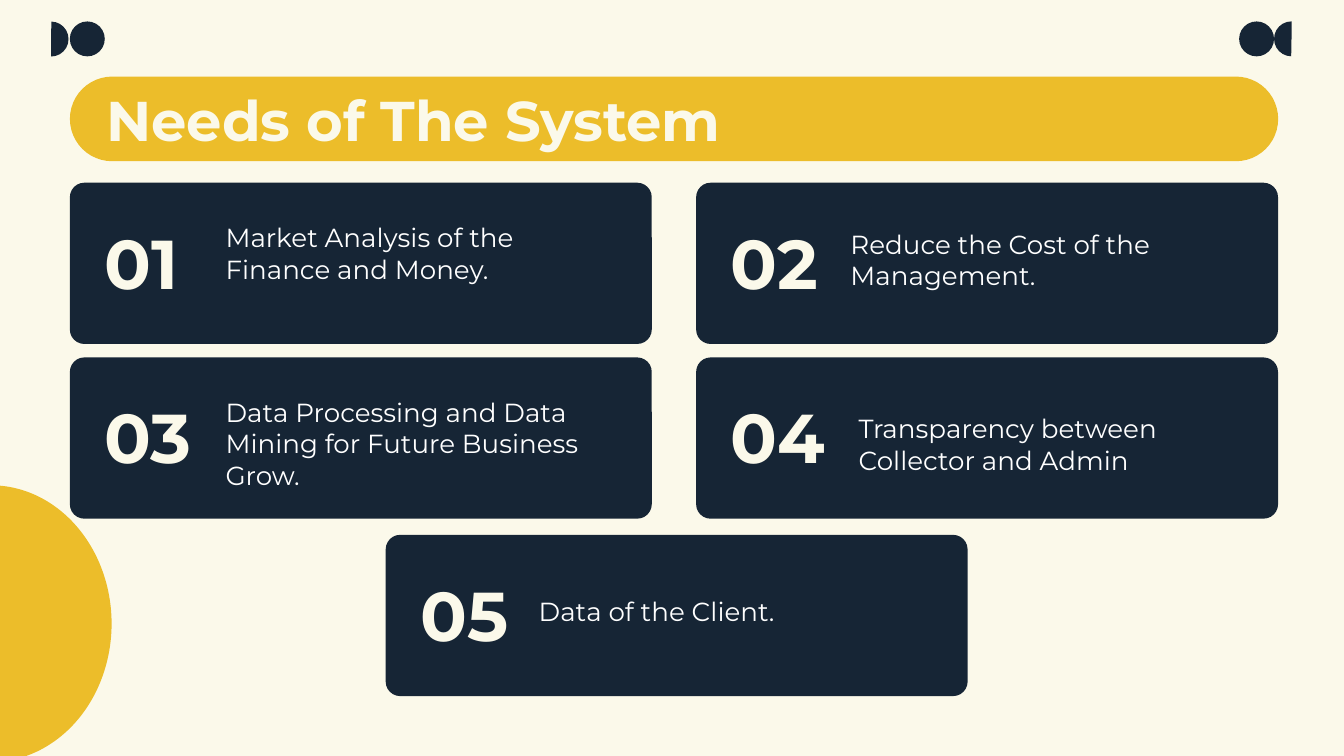
from dataclasses import dataclass

from pptx import Presentation
from pptx.dml.color import RGBColor
from pptx.enum.shapes import MSO_SHAPE
from pptx.enum.text import MSO_ANCHOR, MSO_AUTO_SIZE, PP_ALIGN
from pptx.util import Inches, Pt

PIE, OVAL, ROUNDED = MSO_SHAPE.PIE, MSO_SHAPE.OVAL, MSO_SHAPE.ROUNDED_RECTANGLE
TOP, MIDDLE = MSO_ANCHOR.TOP, MSO_ANCHOR.MIDDLE
LEFT = PP_ALIGN.LEFT
FIXED = MSO_AUTO_SIZE.NONE

FONT = "Montserrat"
CREAM, NAVY, GOLD, WHITE = "FBF9EA", "162535", "ECBD2A", "FFFFFF"

PAGE_WIDTH = 10
PAGE_HEIGHT = PAGE_WIDTH * 9 / 16
COLUMN_LEFTS = {"left": 0.52, "middle": 2.87, "right": 5.18}
ROW_TOPS = (1.36, 2.66, 3.98)
CARD_WIDTH, CARD_HEIGHT = 4.33, 1.2
BAR_TOP, BAR_WIDTH, BAR_HEIGHT = 0.57, 8.99, 0.63
DOT_SIZE, DOT_TOP = 0.26, 0.16
HALF_TURN = 180


@dataclass(frozen=True)
class Box:
    left: float
    top: float
    width: float
    height: float

    def lengths(self):
        return tuple(Inches(v) for v in (self.left, self.top, self.width, self.height))


@dataclass(frozen=True)
class Card:
    column: str
    row: int
    text: str
    indent: float
    drop: float
    text_height: float


CARDS = (
    Card("left", 0, "Market Analysis of the Finance and Money.", 1.06, 0.19, 0.85),
    Card("right", 0, "Reduce the Cost of the Management.", 1.05, 0.24, 0.69),
    Card("left", 1, "Data Processing and Data Mining for Future Business Grow.", 1.06, 0.19, 0.83),
    Card("right", 1, "Transparency between Collector and Admin", 1.11, 0.31, 0.56),
    Card("middle", 2, "Data of the Client.", 1.04, 0.35, 0.76),
)


def color(value: str) -> RGBColor:
    return RGBColor.from_string(value)


def add_block(page, kind, box: Box, fill: str, adjustments=(), rotation: float = 0):
    shape = page.shapes.add_shape(kind, *box.lengths())
    shape.shadow.inherit = False
    shape.fill.solid()
    shape.fill.fore_color.rgb = color(fill)
    shape.line.fill.background()
    shape.rotation = rotation
    for index, value in enumerate(adjustments):
        shape.adjustments[index] = value
    return shape


def write(shape, text: str, *, size: float, ink: str, bold: bool = False,
          anchor=TOP, inset: float = 0.1) -> None:
    frame = shape.text_frame
    frame.word_wrap = True
    frame.auto_size = FIXED
    frame.vertical_anchor = anchor
    frame.margin_left = frame.margin_right = Inches(inset)
    frame.margin_top = frame.margin_bottom = Inches(inset)
    para = frame.paragraphs[0]
    para.alignment = LEFT
    span = para.add_run()
    span.text = text
    span.font.name = FONT
    span.font.size = Pt(size)
    span.font.bold = bold
    span.font.color.rgb = color(ink)


def add_decoration(page) -> None:
    add_block(page, PIE, Box(-0.97, 3.61, 1.8, 2.06), GOLD, (53.46, 162), HALF_TURN)
    for half_left, dot_left, rotation in ((0.25, 0.52, HALF_TURN), (9.48, 9.22, 0)):
        add_block(page, PIE, Box(half_left, DOT_TOP, DOT_SIZE, DOT_SIZE), NAVY,
                  (54.58, 162), rotation)
        add_block(page, OVAL, Box(dot_left, DOT_TOP, DOT_SIZE, DOT_SIZE), NAVY)


def add_title(page, text: str) -> None:
    add_block(page, ROUNDED, Box(COLUMN_LEFTS["left"], BAR_TOP, BAR_WIDTH, BAR_HEIGHT),
              GOLD, (0.5,))
    title = page.shapes.title
    title.left, title.top, title.width, title.height = Box(
        0.79, BAR_TOP, 8.43, BAR_HEIGHT).lengths()
    write(title, text, size=30, ink=CREAM, bold=True, anchor=MIDDLE, inset=0)
    title.element.getparent().append(title.element)


def add_card(page, number: int, card: Card) -> None:
    left, top = COLUMN_LEFTS[card.column], ROW_TOPS[card.row]
    add_block(page, ROUNDED, Box(left, top, CARD_WIDTH, CARD_HEIGHT), NAVY, (0.09,))
    label = page.shapes.add_textbox(*Box(left + 0.16, top + 0.13, 0.96, 0.91).lengths())
    write(label, f"{number:02}", size=37, ink=CREAM, bold=True, anchor=MIDDLE)
    detail = page.shapes.add_textbox(
        *Box(left + card.indent, top + card.drop, 3.1, card.text_height).lengths())
    write(detail, card.text, size=14, ink=WHITE)


def main() -> None:
    deck = Presentation()
    deck.slide_width, deck.slide_height = Inches(PAGE_WIDTH), Inches(PAGE_HEIGHT)
    page = deck.slides.add_slide(deck.slide_layouts.get_by_name("Title Only"))
    page.background.fill.solid()
    page.background.fill.fore_color.rgb = color(CREAM)
    add_decoration(page)
    add_title(page, "Needs of The System")
    for number, card in enumerate(CARDS, start=1):
        add_card(page, number, card)
    deck.save("out.pptx")


if __name__ == "__main__":
    main()
